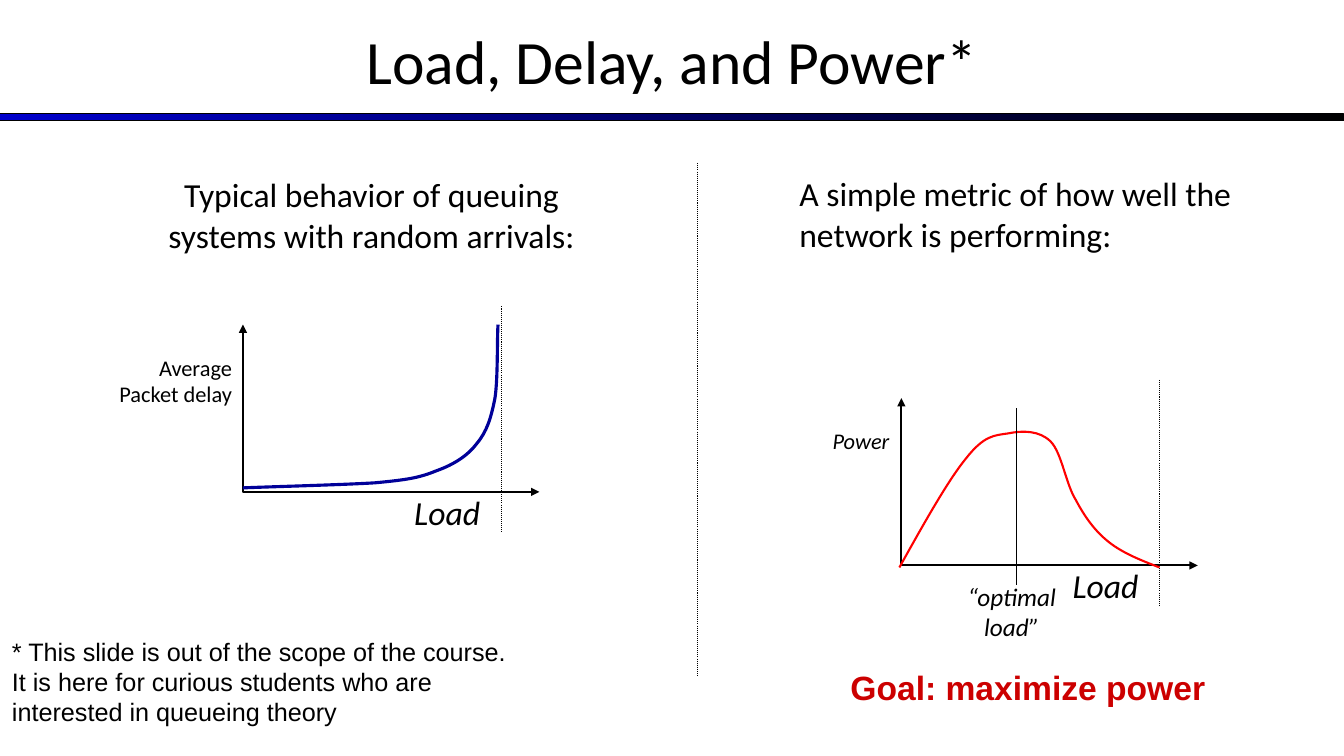
from dataclasses import dataclass

from lxml.etree import SubElement
from pptx import Presentation
from pptx.dml.color import RGBColor
from pptx.enum.dml import MSO_LINE
from pptx.enum.shapes import MSO_CONNECTOR, MSO_SHAPE
from pptx.enum.text import MSO_ANCHOR, MSO_AUTO_SIZE, PP_ALIGN
from pptx.oxml.ns import qn
from pptx.util import Inches, Pt


@dataclass(frozen=True)
class Theme:
    black: str = "000000"
    blue: str = "0000CC"
    navy: str = "000099"
    red: str = "FF0000"
    goal: str = "CC0000"
    sans: str = "Calibri"
    plain: str = "Arial"
    title: int = 44
    body: int = 24
    note: int = 18
    small: int = 16


THEME = Theme()
LEFT, CENTER, RIGHT = PP_ALIGN.LEFT, PP_ALIGN.CENTER, PP_ALIGN.RIGHT


def color(code):
    return RGBColor.from_string(code)


def write(frame, text, size, align=LEFT, face=THEME.sans, tint=THEME.black,
          bold=False, italic=False):
    frame.text = text
    for para in frame.paragraphs:
        para.alignment = align
        for run in para.runs:
            font = run.font
            font.name, font.size = face, Pt(size)
            font.bold, font.italic = bold, italic
            font.color.rgb = color(tint)


def add_text(slide, box, text, size, wrap=False, **style):
    frame = slide.shapes.add_textbox(*map(Inches, box)).text_frame
    frame.word_wrap = wrap
    frame.auto_size = MSO_AUTO_SIZE.SHAPE_TO_FIT_TEXT
    write(frame, text, size, **style)


def add_rule(slide, x, top, end, dotted=True):
    rule = slide.shapes.add_connector(
        MSO_CONNECTOR.STRAIGHT, *map(Inches, (x, top, x, end)))
    rule.line.color.rgb = color(THEME.black)
    rule.line.width = Pt(0.75)
    if dotted:
        rule.line.dash_style = MSO_LINE.ROUND_DOT
    SubElement(rule._element.spPr, qn("a:effectLst"))


def add_path(slide, points, tint, width):
    spots = [(Inches(x), Inches(y)) for x, y in points]
    build = slide.shapes.build_freeform(*spots[0])
    build.add_line_segments(spots[1:], close=False)
    shape = build.convert_to_shape()
    shape.shadow.inherit = False
    shape.fill.background()
    shape.line.color.rgb = color(tint)
    shape.line.width = Pt(width)
    return shape


def add_curve(slide, start, parts, tint, width):
    shape = add_path(slide, [start] + [part[-1] for part in parts], tint, width)
    lines = list(shape._element.iter(qn("a:lnTo")))
    for line, part in zip(lines, parts):
        line.tag = qn("a:cubicBezTo")
        line.clear()
        for x, y in part:
            SubElement(line, qn("a:pt"), x=str(Inches(x) - shape.left),
                       y=str(Inches(y) - shape.top))


def add_axes(slide, x, y):
    wide, high = 2.94, 1.66
    axes = add_path(slide, [(x, y), (x, y + high), (x + wide, y + high)],
                    THEME.black, 1.5)
    line = axes.line._get_or_add_ln()
    for end in ("a:headEnd", "a:tailEnd"):
        SubElement(line, qn(end), type="triangle")
    add_text(slide, (x + 1.6, y + 1.61, 0.86, 0.5), "Load", THEME.body,
             italic=True)
    add_rule(slide, x + 2.56, y - 0.18, y + 2.07)


def add_title(slide, text):
    bar = slide.shapes.add_shape(
        MSO_SHAPE.RECTANGLE, *map(Inches, (0, 1.13, 13.33, 0.07)))
    bar.shadow.inherit = False
    bar.fill.gradient()
    bar.fill.gradient_angle = 0
    for stop, tint in zip(bar.fill.gradient_stops, (THEME.blue, THEME.black)):
        stop.color.rgb = color(tint)
    bar.line.color.rgb = color(THEME.black)
    bar.line.width = Pt(0.75)
    title = slide.shapes.title
    title.left, title.top = Inches(0), Inches(-0.03)
    title.width, title.height = Inches(13.33), Inches(1.25)
    frame = title.text_frame
    frame.auto_size = MSO_AUTO_SIZE.NONE
    frame.vertical_anchor = MSO_ANCHOR.MIDDLE
    write(frame, text, THEME.title, CENTER)


def add_delay(slide):
    add_text(slide, (1.55, 1.68, 4.27, 0.91),
             "Typical behavior of queuing\nsystems with random arrivals:",
             THEME.body, align=CENTER)
    add_axes(slide, 2.41, 3.22)
    add_text(slide, (1.06, 3.46, 1.34, 0.64), "Average\nPacket delay",
             THEME.small, align=RIGHT)
    add_curve(slide, (2.41, 4.84), [
        [(2.63, 4.83), (3.4, 4.81), (3.72, 4.79)],
        [(4.04, 4.76), (4.16, 4.74), (4.33, 4.67)],
        [(4.5, 4.61), (4.64, 4.52), (4.73, 4.4)],
        [(4.83, 4.28), (4.87, 4.15), (4.91, 3.95)],
        [(4.94, 3.75), (4.93, 3.37), (4.94, 3.22)],
    ], THEME.navy, 2.25)


def add_power(slide):
    add_text(slide, (7.83, 1.67, 4.6, 0.91),
             "A simple metric of how well the\nnetwork is performing:",
             THEME.body)
    add_axes(slide, 8.94, 3.95)
    add_text(slide, (8.15, 4.19, 0.77, 0.37), "Power", THEME.small,
             align=RIGHT, italic=True)
    add_curve(slide, (8.92, 5.63), [
        [(9.16, 5.2), (9.4, 4.77), (9.58, 4.55)],
        [(9.76, 4.32), (9.86, 4.32), (10, 4.3)],
        [(10.14, 4.27), (10.31, 4.27), (10.42, 4.38)],
        [(10.53, 4.49), (10.57, 4.8), (10.67, 4.96)],
        [(10.76, 5.13), (10.86, 5.27), (11, 5.38)],
        [(11.14, 5.49), (11.32, 5.56), (11.5, 5.63)],
    ], THEME.red, 1.5)
    add_rule(slide, 10.08, 4.05, 5.8, dotted=False)
    add_text(slide, (9.49, 5.72, 1.09, 0.7), "“optimal\nload”", THEME.note,
             align=CENTER, italic=True)
    add_text(slide, (8.33, 6.57, 3.73, 0.5), "Goal: maximize power",
             THEME.body, align=CENTER, face=THEME.plain, tint=THEME.goal,
             bold=True)


def main():
    deck = Presentation()
    deck.slide_width, deck.slide_height = Inches(13.33), Inches(7.5)
    slide = deck.slides.add_slide(deck.slide_layouts[5])
    add_title(slide, "Load, Delay, and Power*")
    add_delay(slide)
    add_rule(slide, 6.92, 1.62, 6.71)
    add_power(slide)
    add_text(slide, (0.02, 6.26, 5.16, 1.01),
             "* This slide is out of the scope of the course. It is here for "
             "curious students who are interested in queueing theory",
             THEME.note, wrap=True, face=THEME.plain)
    deck.save("out.pptx")


if __name__ == "__main__":
    main()
